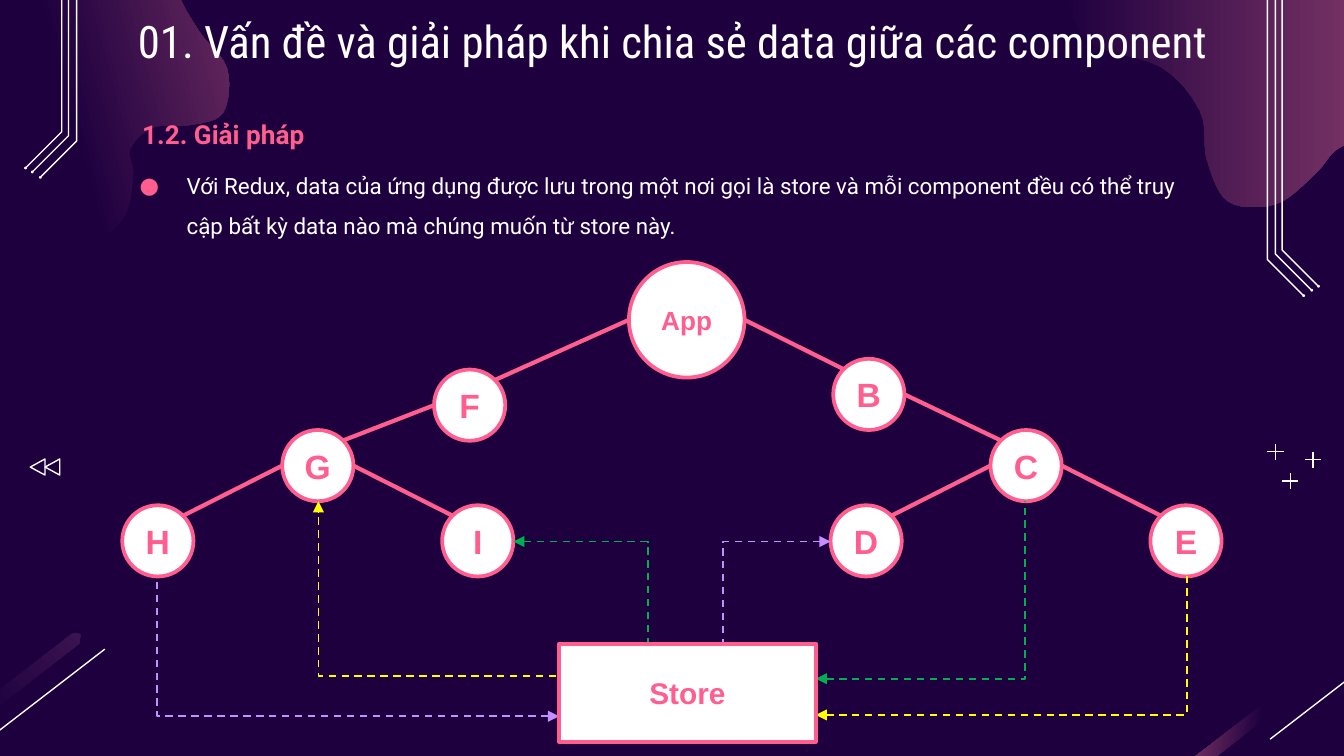
from dataclasses import dataclass
from math import sqrt

from lxml.etree import SubElement
from pptx import Presentation
from pptx.dml.color import RGBColor
from pptx.enum.dml import MSO_LINE
from pptx.enum.shapes import MSO_CONNECTOR, MSO_SHAPE
from pptx.enum.text import MSO_ANCHOR, PP_ALIGN
from pptx.oxml.ns import qn
from pptx.util import Inches, Pt


@dataclass(frozen=True)
class Theme:
    night: str = "1E003F"
    plum: str = "A64D79"
    dusk: str = "3A1450"
    pink: str = "FF5E8E"
    white: str = "FFFFFF"
    yellow: str = "FFFF00"
    green: str = "00B050"
    violet: str = "C48FFF"
    title_size: int = 24
    heading_size: int = 14
    body_size: int = 12
    app_size: int = 14
    node_size: int = 18
    store_size: int = 16
    title_font: str = "Roboto Condensed"
    body_font: str = "Roboto"
    node_font: str = "Arial"


THEME = Theme()
NODE = 0.53
NODES = {
    "App": (4.68, 1.95, 0.86), "B": (6.2, 2.67, NODE), "F": (3.23, 2.75, NODE),
    "C": (7.37, 3.2, NODE), "E": (8.56, 3.76, NODE), "D": (6.18, 3.76, NODE),
    "G": (2.1, 3.2, NODE), "I": (3.29, 3.76, NODE), "H": (0.91, 3.76, NODE),
}
BRANCHES = ["App B", "App F", "B C", "C E", "C D", "F G", "G I", "G H"]
STORE = (4.16, 4.79, 1.91, 0.73)
DATA_FLOWS = [
    ((6.07, 5.32), (8.83, 4.29), THEME.yellow, "headEnd"),
    ((4.14, 5.03), (2.37, 3.73), THEME.yellow, "tailEnd"),
    ((6.07, 5.05), (7.63, 3.73), THEME.green, "headEnd"),
    ((3.82, 4.03), (4.82, 4.79), THEME.green, "headEnd"),
    ((4.16, 5.33), (1.17, 4.3), THEME.violet, "headEnd"),
    ((6.18, 4.03), (5.38, 4.79), THEME.violet, "headEnd"),
]
LEFT_BLOB = [
    (0.48, 1.9), (0.9, 1.65), (0.99, 1.31), (0.97, 1.11), (1.14, 0.95), (1.42, 0.93),
    (1.66, 0.84), (1.69, 0.51), (1.48, 0.23), (1.33, -0.07), (1.43, -0.31),
    (1.59, -0.39), (1.9, -0.41), (2.23, -0.42), (2.52, -0.58), (2.58, -0.87),
    (2.33, -1.34), (1.67, -1.51), (0.7, -0.95), (0.54, -0.9), (-0.47, -0.82),
    (-0.91, -0.74), (-1.28, -0.61), (-1.74, -0.3), (-1.94, 0.22), (-1.56, 0.8),
    (-0.88, 0.99), (-0.46, 1.06), (-0.13, 1.33), (-0.03, 1.66),
]
RIGHT_BLOB = [
    (11.25, 0.38), (11.05, -0.35), (10.58, -0.77), (9.89, -0.84), (9.29, -1.13),
    (8.97, -1.41), (8.52, -1.43), (8.19, -1.29), (7.93, -0.78), (7.89, -0.38),
    (7.9, -0.18), (8.09, 0.3), (8.64, 0.5), (8.93, 0.83), (8.98, 1.19), (9.14, 1.5),
    (9.49, 1.52), (9.78, 1.3), (9.95, 1.11), (10.18, 1.06), (10.52, 1.38), (11.17, 0.88),
]
STRIPE = [(0.56, 4.71), (0.6, 4.72), (0.59, 4.79), (-0.81, 5.88),
          (-0.88, 5.87), (-0.87, 5.8), (0.53, 4.72)]


def rgb(code):
    return RGBColor.from_string(code)


def smooth_loop(anchors, steps=6):
    count = len(anchors)
    for i in range(count):
        a, b, c, d = (anchors[(i + k) % count] for k in (-1, 0, 1, 2))
        for t in (step / steps for step in range(steps)):
            yield tuple(
                q + t / 2 * (r - p + t * (2*p - 5*q + 4*r - s + t * (3*(q - r) + s - p)))
                for p, q, r, s in zip(a, b, c, d))


def add_outline(slide, points, closed=True):
    start, *rest = [(Inches(x), Inches(y)) for x, y in points]
    builder = slide.shapes.build_freeform(*start, scale=1.0)
    builder.add_line_segments(rest, close=closed)
    outline = builder.convert_to_shape()
    outline.shadow.inherit = False
    return outline


def add_glow(slide, points, start, angle, glow=THEME.plum):
    outline = add_outline(slide, points)
    outline.line.fill.background()
    outline.fill.gradient()
    outline.fill.gradient_angle = angle
    first, last = outline.fill.gradient_stops
    first.position, last.position = start, 1
    first.color.rgb, last.color.rgb = rgb(THEME.night), rgb(glow)


def add_line(slide, start, end, color, width, kind=MSO_CONNECTOR.STRAIGHT):
    line = slide.shapes.add_connector(kind, *map(Inches, start + end))
    line.line.color.rgb = rgb(color)
    line.line.width = Pt(width)
    SubElement(line._element.spPr, qn("a:effectLst"))
    return line


def add_flow(slide, start, end, color, arrow_end):
    flow = add_line(slide, start, end, color, 1, MSO_CONNECTOR.ELBOW)
    flow._element.spPr.find(qn("a:prstGeom")).set("prst", "bentConnector2")
    flow.line.dash_style = MSO_LINE.DASH
    SubElement(flow.line._get_or_add_ln(), qn(f"a:{arrow_end}"), type="triangle")


def add_preset(slide, kind, box, fill=None, line=None, width=0.75):
    preset = slide.shapes.add_shape(kind, *map(Inches, box))
    preset.shadow.inherit = False
    if fill:
        preset.fill.solid()
        preset.fill.fore_color.rgb = rgb(fill)
    else:
        preset.fill.background()
    if line:
        preset.line.color.rgb = rgb(line)
        preset.line.width = Pt(width)
    else:
        preset.line.fill.background()
    return preset


def write(frame, text, font, size, color, bold=False, align=PP_ALIGN.LEFT):
    frame.text = text
    paragraph = frame.paragraphs[0]
    paragraph.alignment = align
    style = paragraph.runs[0].font
    style.name, style.size, style.bold = font, Pt(size), bold
    style.color.rgb = rgb(color)
    return paragraph


def add_labelled(slide, kind, box, label, size):
    part = add_preset(slide, kind, box, THEME.white, THEME.pink, 2)
    frame = part.text_frame
    frame.vertical_anchor = MSO_ANCHOR.MIDDLE
    frame.margin_left = frame.margin_right = 0
    write(frame, label, THEME.node_font, size, THEME.pink, True, PP_ALIGN.CENTER)


def add_text(slide, box, inset=0.1):
    frame = slide.shapes.add_textbox(*map(Inches, box)).text_frame
    frame.word_wrap = True
    frame.margin_top = frame.margin_bottom = Inches(inset)
    return frame


def add_bullet(paragraph):
    paragraph.line_spacing = 1.5
    properties = paragraph._p.get_or_add_pPr()
    properties.set("marL", str(Inches(0.5)))
    properties.set("indent", str(Inches(-0.35)))
    color = SubElement(properties, qn("a:buClr"))
    SubElement(color, qn("a:srgbClr"), val=THEME.pink)
    SubElement(properties, qn("a:buFont"), typeface=THEME.body_font)
    SubElement(properties, qn("a:buChar"), char="●")


def add_rails(slide, place, top):
    for x, bend in ((9.54, 1.86), (9.49, 1.89), (9.43, 1.93)):
        tip = (place(x + 0.27), top + bend + 1.46)
        rail = add_outline(slide, [(place(x), top), (place(x), top + bend + 1.19), tip], False)
        rail.fill.background()
        rail.line.color.rgb = rgb(THEME.white)
        rail.line.width = Pt(0.75)
        add_preset(slide, MSO_SHAPE.OVAL, (tip[0] - 0.01, tip[1] - 0.01, 0.02, 0.02), THEME.white)


def add_decoration(slide):
    add_glow(slide, smooth_loop(LEFT_BLOB), 0.5, 15)
    add_glow(slide, smooth_loop(RIGHT_BLOB), 0, 0)
    for shift, angle, glow in ((0, 45, THEME.dusk), (9.54, 173, THEME.plum)):
        add_glow(slide, [(x + shift, y) for x, y in STRIPE], 0.5, angle, glow)
        add_line(slide, (0.78 + shift, 4.83), (-0.09 + shift, 5.5), THEME.white, 0.75)
    add_rails(slide, lambda x: x, -1.19)
    add_rails(slide, lambda x: 10 - x, -2.07)
    for x, y in ((9.6, 3.58), (9.77, 3.42), (9.49, 3.36)):
        add_line(slide, (x - 0.06, y), (x + 0.06, y), THEME.white, 0.75)
        add_line(slide, (x, y - 0.06), (x, y + 0.06), THEME.white, 0.75)
    for x in (0.22, 0.33):
        box = (x, 3.42, 0.12, 0.11)
        add_preset(slide, MSO_SHAPE.ISOSCELES_TRIANGLE, box, line=THEME.white).rotation = 270


def add_branch(slide, parent, child):
    (px, py, p_size), (cx, cy, c_size) = NODES[parent], NODES[child]
    side = 1 if cx > px else -1
    start = (px + p_size * (1 + side) / 2, py + p_size / 2)
    reach = c_size / 2 / sqrt(2)
    end = (cx + c_size / 2 - side * reach, cy + c_size / 2 - reach)
    add_line(slide, start, end, THEME.pink, 2.25)


def add_texts(slide):
    solution = write(
        add_text(slide, (0.79, 1.08, 8.12, 0.78)),
        "Với Redux, data của ứng dụng được lưu trong một nơi gọi là store và mỗi component "
        "đều có thể truy cập bất kỳ data nào mà chúng muốn từ store này.",
        THEME.body_font, THEME.body_size, THEME.white)
    add_bullet(solution)
    write(add_text(slide, (0.79, 0, 8.43, 0.63)),
          "01. Vấn đề và giải pháp khi chia sẻ data giữa các component",
          THEME.title_font, THEME.title_size, THEME.white, align=PP_ALIGN.CENTER)
    write(add_text(slide, (0.96, 0.83, 6.6, 0.34), 0.05), "1.2. Giải pháp",
          THEME.body_font, THEME.heading_size, THEME.pink, True)


def main():
    deck = Presentation()
    deck.slide_width, deck.slide_height = Inches(10), Inches(10 * 9 / 16)
    slide = deck.slides.add_slide(deck.slide_layouts[6])
    slide.background.fill.solid()
    slide.background.fill.fore_color.rgb = rgb(THEME.night)
    add_decoration(slide)
    add_texts(slide)
    for label, (x, y, size) in NODES.items():
        type_size = THEME.app_size if label == "App" else THEME.node_size
        add_labelled(slide, MSO_SHAPE.OVAL, (x, y, size, size), label, type_size)
    for branch in BRANCHES:
        add_branch(slide, *branch.split())
    for flow in DATA_FLOWS:
        add_flow(slide, *flow)
    add_labelled(slide, MSO_SHAPE.RECTANGLE, STORE, "Store", THEME.store_size)
    deck.save("out.pptx")


if __name__ == "__main__":
    main()
